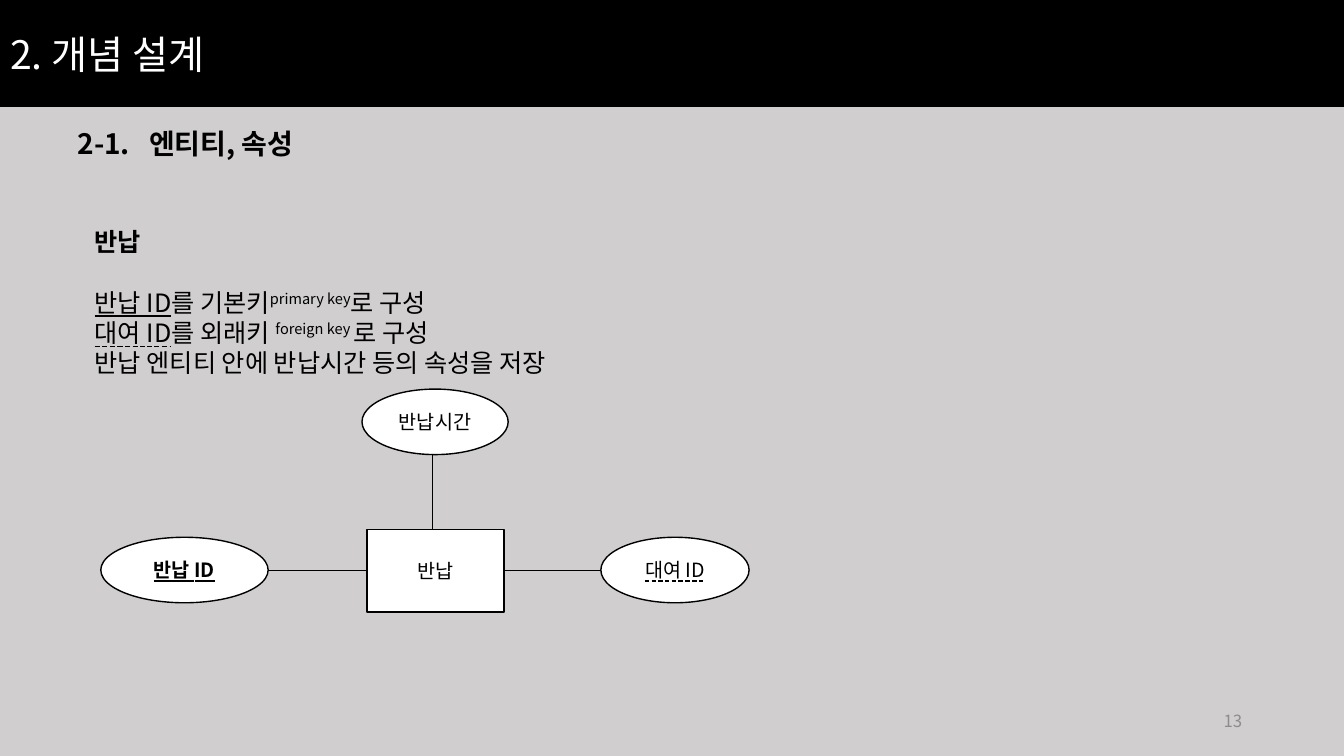
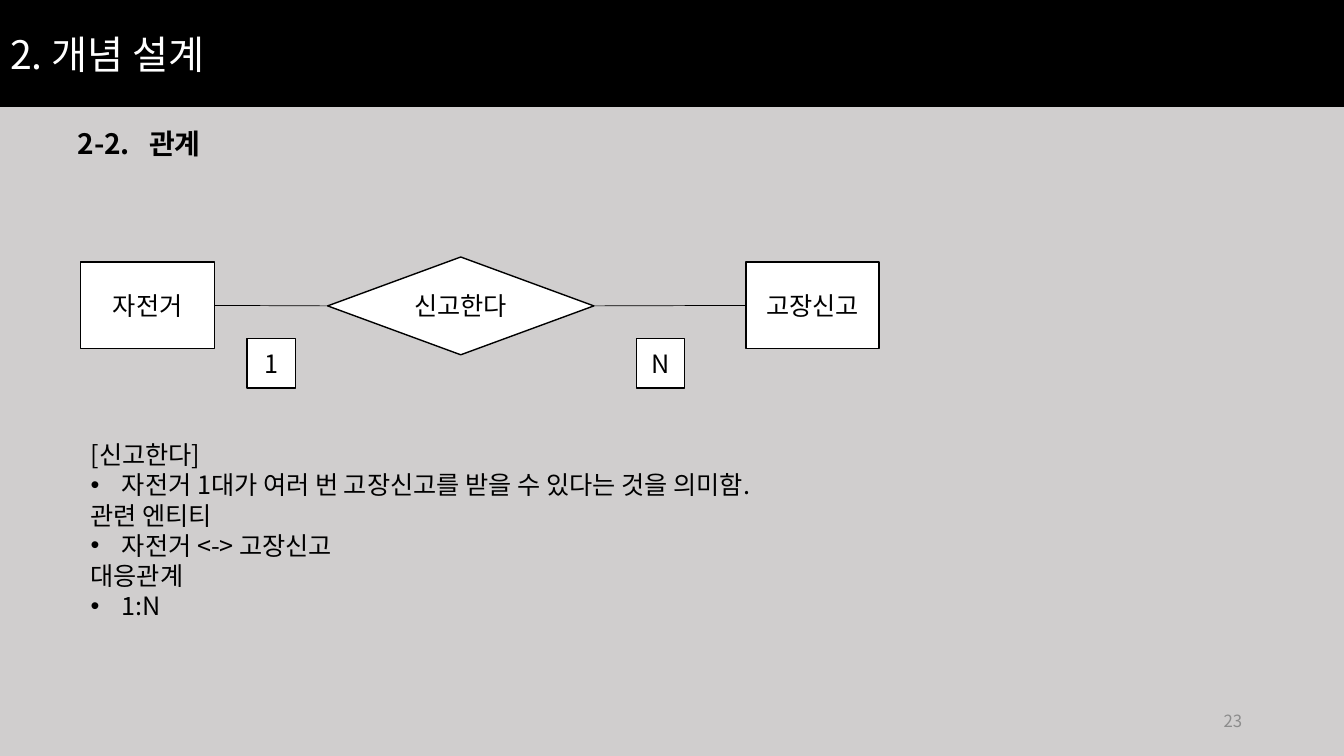
"""Build two database design slides: an entity with its attributes, and a relation."""
import pptx
import pptx.util
import pptx.dml.color
import pptx.enum.shapes
import pptx.enum.text
import pptx.oxml
import pptx.oxml.ns
from dataclasses import dataclass

Inches, Pt = pptx.util.Inches, pptx.util.Pt
Kind = pptx.enum.shapes.MSO_SHAPE
Align = pptx.enum.text.PP_ALIGN
Anchor = pptx.enum.text.MSO_ANCHOR
Under = pptx.enum.text.MSO_UNDERLINE


@dataclass(frozen=True)
class Theme:
    """Colours, type sizes and line widths."""
    font: str = "Noto Sans CJK KR"
    back: str = "D0CECE"
    dark: str = "000000"
    light: str = "FFFFFF"
    grey: str = "8C8C8C"
    title: float = 28
    head: float = 20
    body: float = 18
    small: float = 14
    foot: float = 12
    edge: float = 1
    link: float = 0.5


T = Theme()
WIDE, HIGH = 13.33, 7.5
BAND = (0, 0, WIDE, 1.06)
HEAD = (0.67, 1.21, 2.59, 0.44)
FOOT = (9.42, 6.95, 3, 0.4)
TITLE = "2. 개념 설계"
SOLID, DASH = Under.SINGLE_LINE, Under.DASH_LINE

SLIDES = [
    {
        "head": "2-1.\t엔티티, 속성", "page": "13", "size": T.small,
        "body": (0.84, 2.2, 7.98, 1.62),
        "lines": [
            {"runs": [("반납", {})], "bold": True},
            {"runs": [("반납 ID", {"line": SOLID}), ("를 기본키", {}),
                      ("primary key", {"raise": True}), ("로 구성", {})], "gap": 21.5},
            {"runs": [("대여 ID", {"line": DASH}), ("를 외래키 ", {}),
                      ("foreign key ", {"raise": True}), ("로 구성", {})]},
            {"runs": [("반납 엔티티 안에 반납시간 등의 속성을 저장", {})]},
        ],
        "nodes": {
            "entity": (Kind.RECTANGLE, (3.64, 5.25, 1.36, 0.82), "반납", {}),
            "key": (Kind.OVAL, (1, 5.33, 1.66, 0.65), "반납 ID", {"bold": True, "line": SOLID}),
            "time": (Kind.OVAL, (3.59, 3.86, 1.45, 0.65), "반납시간", {}),
            "loan": (Kind.OVAL, (5.96, 5.33, 1.47, 0.65), "대여 ID", {"line": DASH}),
        },
        "links": [((2.66, 5.66), ("entity", 1)), (("entity", 3), (5.96, 5.66)),
                  ((4.29, 4.5), (4.29, 5.25))],
    },
    {
        "head": "2-2.\t관계", "page": "23", "size": T.body,
        "body": (0.8, 4.31, 7.92, 1.92),
        "lines": [
            {"runs": [("[신고한다]", {})]},
            {"runs": [("자전거 1대가 여러 번 고장신고를 받을 수 있다는 것을 의미함.", {})], "dot": True},
            {"runs": [("관련 엔티티", {})]},
            {"runs": [("자전거 <-> 고장신고", {})], "dot": True},
            {"runs": [("대응관계", {})]},
            {"runs": [("1:N", {})], "dot": True},
        ],
        "nodes": {
            "report": (Kind.RECTANGLE, (7.4, 2.6, 1.32, 0.86), "고장신고", {}),
            "bike": (Kind.RECTANGLE, (0.8, 2.6, 1.33, 0.86), "자전거", {}),
            "act": (Kind.DIAMOND, (3.25, 2.55, 2.64, 0.97), "신고한다", {}),
            "one": (Kind.RECTANGLE, (2.45, 3.36, 0.48, 0.49), "1", {}),
            "many": (Kind.RECTANGLE, (6.31, 3.36, 0.48, 0.49), "N", {}),
        },
        "links": [(("bike", 3), ("act", 1)), (("act", 3), ("report", 1))],
    },
]


def rgb(code):
    """Turn a hex code into a colour."""
    return pptx.dml.color.RGBColor.from_string(code)


def tag(parent, name, **attrs):
    """Append a drawing element to a parent."""
    child = pptx.oxml.parse_xml(f"<a:{name} {pptx.oxml.ns.nsdecls('a')}/>")
    for key, value in attrs.items():
        child.set(key, str(value))
    parent.append(child)
    return child


def style(para, size, color=T.dark, bold=False, line=None, align=Align.LEFT):
    """Set the font and alignment of a paragraph."""
    para.alignment = align
    font = para.font
    font.name, font.size, font.bold = T.font, Pt(size), bold
    font.color.rgb = rgb(color)
    if line:
        font.underline = line
    tag(para._p.pPr.find(pptx.oxml.ns.qn("a:defRPr")), "ea", typeface=T.font)


def place(shape, area):
    """Move a shape to an area in inches."""
    shape.left, shape.top, shape.width, shape.height = map(Inches, area)


def box(slide, area, anchor=Anchor.TOP):
    """Add a wrapping text box and return its frame."""
    frame = slide.shapes.add_textbox(*map(Inches, area)).text_frame
    frame.word_wrap = True
    frame.vertical_anchor = anchor
    return frame


def frame_page(slide, head, page):
    """Fill in the title band, heading and page number."""
    band = slide.shapes.title
    place(band, BAND)
    band.fill.solid()
    band.fill.fore_color.rgb = rgb(T.dark)
    frame = band.text_frame
    frame.text = TITLE
    frame.auto_size = pptx.enum.text.MSO_AUTO_SIZE.NONE
    frame.vertical_anchor = Anchor.MIDDLE
    style(frame.paragraphs[0], T.title, T.light)

    para = box(slide, HEAD).paragraphs[0]
    para.text = head
    tabs = tag(para._p.get_or_add_pPr(), "tabLst")
    tag(tabs, "tab", pos=Inches(0.71), algn="l")
    style(para, T.head, bold=True)

    para = box(slide, FOOT, Anchor.MIDDLE).paragraphs[0]
    para.text = page
    style(para, T.foot, T.grey, align=Align.RIGHT)


def write(slide, area, lines):
    """Write the body lines, with bullets and marked runs."""
    frame = box(slide, area)
    for i, line in enumerate(lines):
        para = frame.add_paragraph() if i else frame.paragraphs[0]
        if "gap" in line:
            para.space_before = Pt(line["gap"])
        if line.get("dot"):
            props = para._p.get_or_add_pPr()
            props.set("marL", str(Inches(0.31)))
            props.set("indent", str(-Inches(0.31)))
            tag(props, "buFont", typeface="Arial")
            tag(props, "buChar", char="•")
        style(para, T.body, bold=line.get("bold", False))
        for text, look in line["runs"]:
            run = para.add_run()
            run.text = text
            if "line" in look:
                run.font.underline = look["line"]
            if "raise" in look:
                run.font._element.set("baseline", "30000")


def draw(slide, nodes, links, size):
    """Draw the diagram nodes and the lines that join them."""
    made = {}
    for name, (kind, area, text, look) in nodes.items():
        node = made[name] = slide.shapes.add_shape(kind, *map(Inches, area))
        node.shadow.inherit = False
        node.fill.solid()
        node.fill.fore_color.rgb = rgb(T.light)
        node.line.color.rgb = rgb(T.dark)
        node.line.width = Pt(T.edge)
        frame = node.text_frame
        frame.text = text
        frame.word_wrap = True
        frame.margin_left = frame.margin_right = Inches(0.05)
        frame.vertical_anchor = Anchor.MIDDLE
        style(frame.paragraphs[0], size, align=Align.CENTER, **look)
    for ends in links:
        spots = [(0, 0) if end[0] in made else end for end in ends]
        link = slide.shapes.add_connector(
            pptx.enum.shapes.MSO_CONNECTOR.STRAIGHT, *(Inches(v) for spot in spots for v in spot))
        for end, join in zip(ends, (link.begin_connect, link.end_connect)):
            if end[0] in made:
                join(made[end[0]], end[1])
        link.line.color.rgb = rgb(T.dark)
        link.line.width = Pt(T.link)
        tag(link._element.spPr, "effectLst")


def main():
    """Build and save the slides."""
    deck = pptx.Presentation()
    deck.slide_width, deck.slide_height = Inches(WIDE), Inches(HIGH)
    back = deck.slide_master.background.fill
    back.solid()
    back.fore_color.rgb = rgb(T.back)
    for data in SLIDES:
        slide = deck.slides.add_slide(deck.slide_layouts[5])
        frame_page(slide, data["head"], data["page"])
        write(slide, data["body"], data["lines"])
        draw(slide, data["nodes"], data["links"], data["size"])
    deck.save("out.pptx")


if __name__ == "__main__":
    main()
